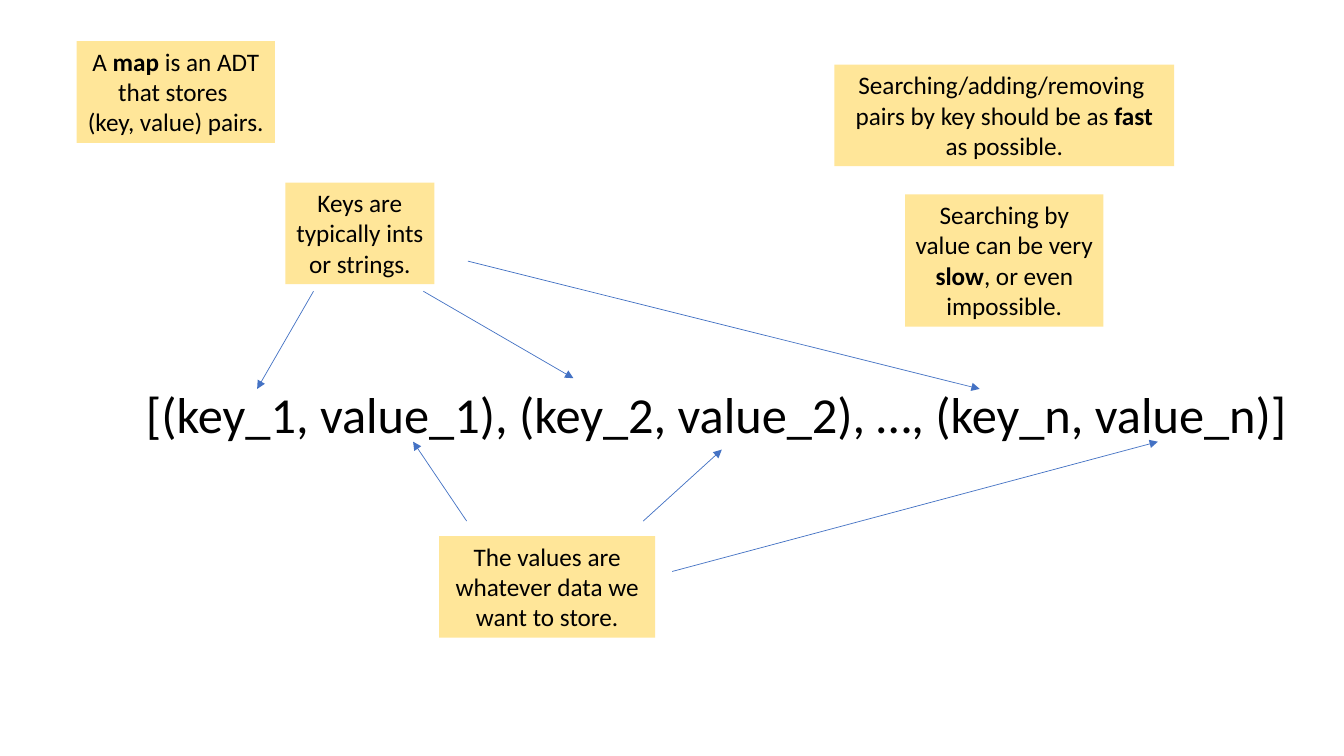
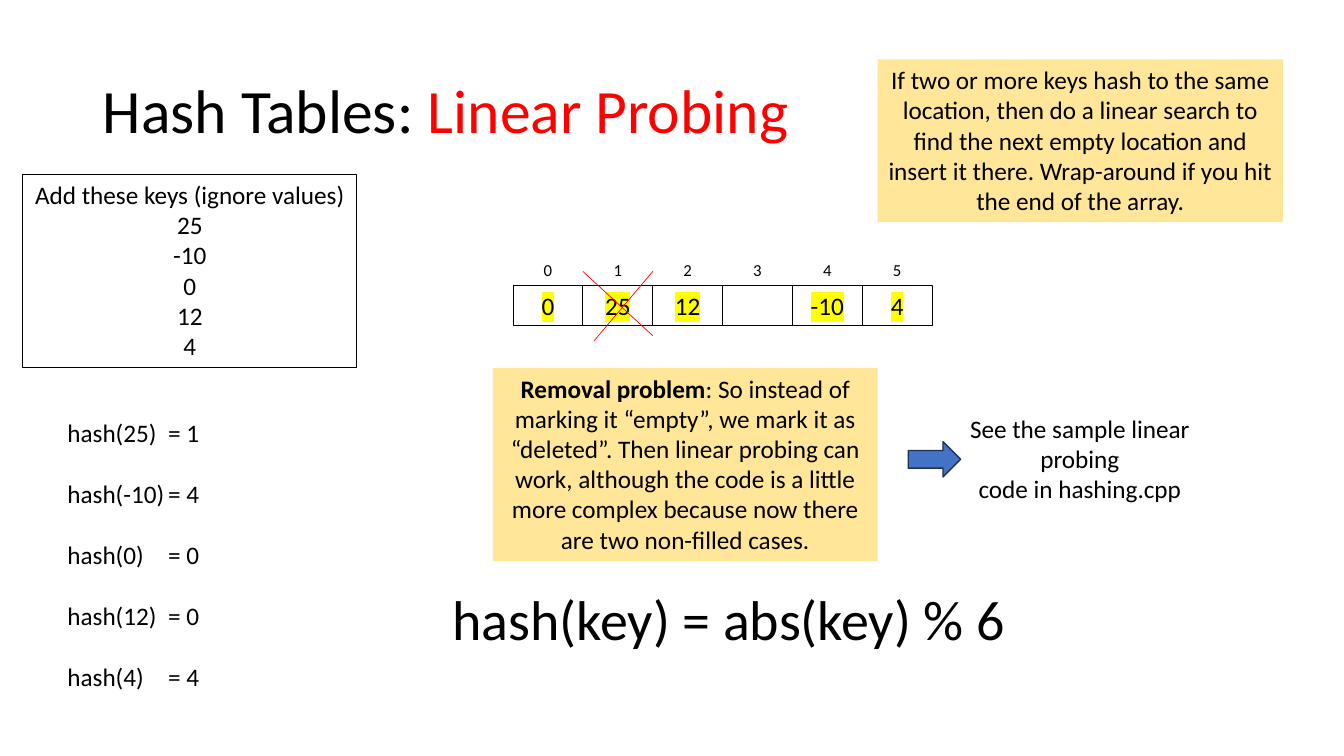
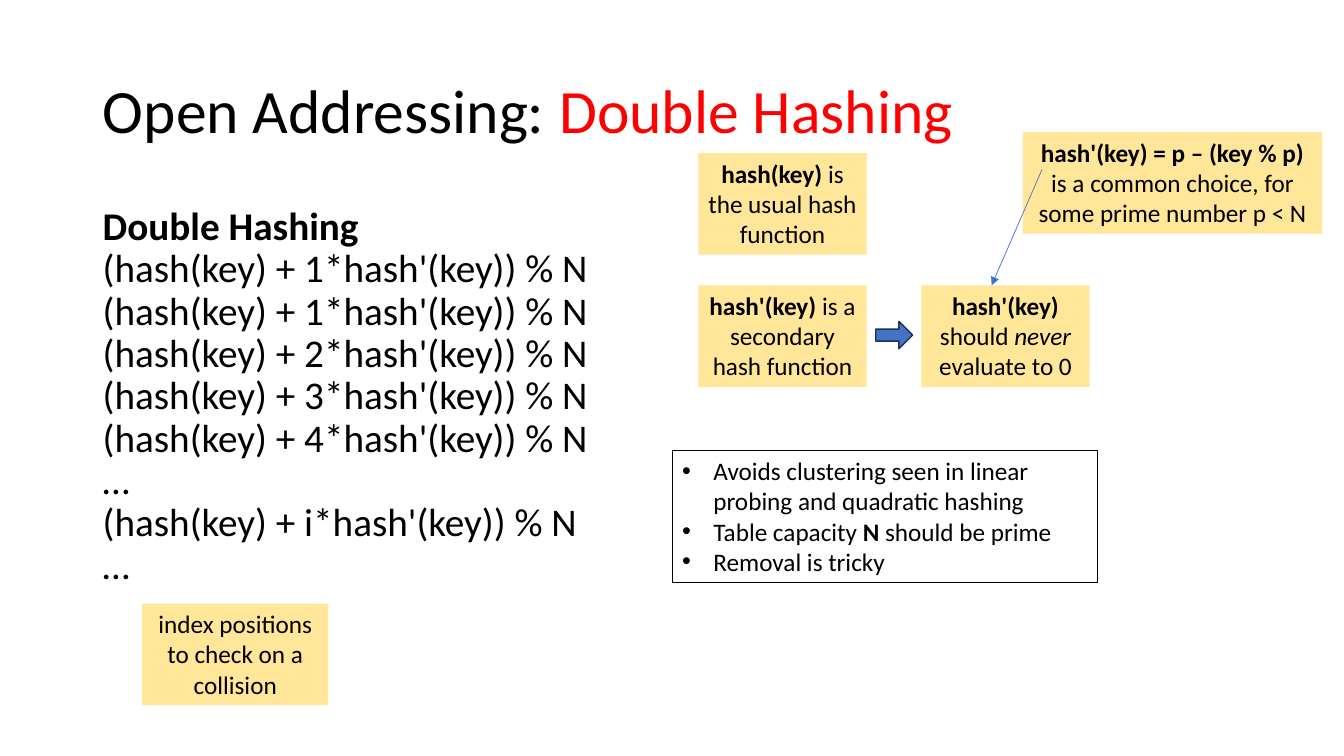
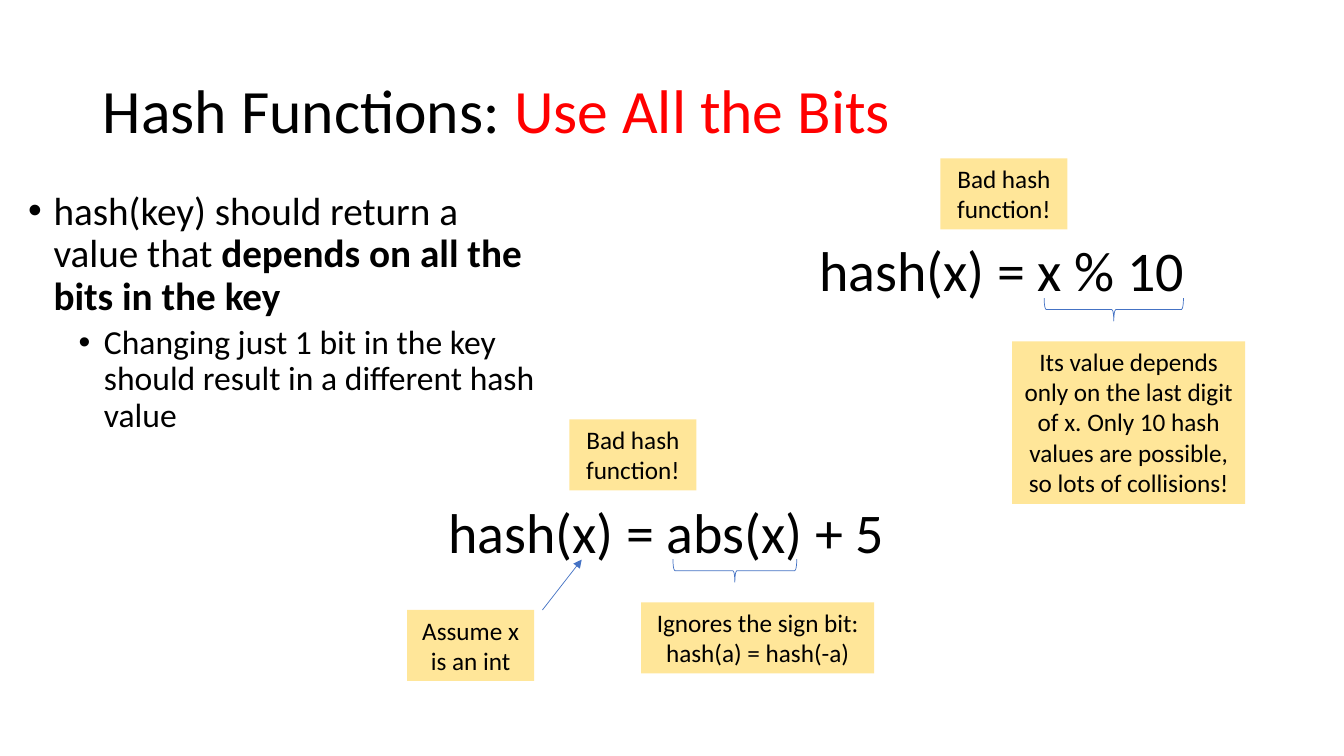
from dataclasses import dataclass

from lxml.etree import SubElement
from pptx import Presentation
from pptx.dml.color import RGBColor
from pptx.enum.shapes import MSO_CONNECTOR as Connector, MSO_SHAPE as Preset
from pptx.enum.text import MSO_ANCHOR as Anchor, PP_ALIGN as Align
from pptx.oxml.ns import qn
from pptx.util import Cm, Pt

# Shared colours and styles
BLACK, RED, YELLOW = "000000", "FF0000", "FFFF00"
NOTE_FILL, BLUE, NAVY = "FFE699", "4472C4", "1E3256"
FONT = "Calibri"
BOLD, ITALIC = {"bold": True}, {"italic": True}
TITLE_ONLY, BLANK = 5, 6
CENTRED = {"alignment": Align.CENTER}
LEFT = {"alignment": Align.LEFT}
BODY = {"alignment": Align.LEFT, "line_spacing": 0.9, "space_before": Pt(10)}


@dataclass
class Box:
    """A place on the slide, in centimetres."""
    left: float
    top: float
    width: float
    height: float

    def inner(self, dx, dy, width, height):
        return Box(self.left + dx, self.top + dy, width, height)

    def point(self, dx, dy):
        return self.left + dx, self.top + dy

    def lengths(self):
        return [Cm(v) for v in (self.left, self.top, self.width, self.height)]


PAGE = Box(0, 0, 33.87, 19.05)


def color(hex_value):
    return RGBColor.from_string(hex_value)


def apply(target, values):
    for name, value in values.items():
        setattr(target, name, value)


# Text: a paragraph is a list of runs, a run is a string or (string, format)
def add_run(paragraph, text, size, ink=BLACK, highlight=None, **values):
    for number, line in enumerate(text.split("\n")):
        if number:
            paragraph.add_line_break()
        if not line:
            continue
        run = paragraph.add_run()
        run.text = line
        apply(run.font, {"name": FONT, "size": Pt(size), **values})
        run.font.color.rgb = color(ink)
        if highlight:
            mark = run.font._element.makeelement(qn("a:highlight"), {})
            SubElement(mark, qn("a:srgbClr"), val=highlight)
            run.font._element.find(qn("a:solidFill")).addnext(mark)


def write(frame, paragraphs, size=18, layout=CENTRED, wrap=True,
          anchor=Anchor.TOP, **values):
    apply(frame, {"word_wrap": wrap, "vertical_anchor": anchor})
    for number, runs in enumerate(paragraphs):
        paragraph = frame.add_paragraph() if number else frame.paragraphs[0]
        apply(paragraph, layout)
        for run in runs:
            text, extra = (run, {}) if isinstance(run, str) else run
            add_run(paragraph, text, **{"size": size, **values, **extra})
    return frame.paragraphs


def add_bullet(paragraph, margin, hanging):
    properties = paragraph._p.get_or_add_pPr()
    properties.set("marL", str(Cm(margin)))
    properties.set("indent", str(-Cm(hanging)))
    SubElement(properties, qn("a:buFont"), typeface="Arial")
    SubElement(properties, qn("a:buChar"), char="•")


def add_tab_stop(paragraph, position):
    stops = SubElement(paragraph._p.get_or_add_pPr(), qn("a:tabLst"))
    SubElement(stops, qn("a:tab"), pos=str(Cm(position)), algn="l")


# Shared parts
def add_title(slide, topic, subject, width=29.21):
    title = slide.shapes.title
    place = Box(2.34, 1.02, width, 3.68)
    apply(title, dict(zip(("left", "top", "width", "height"), place.lengths())))
    write(title.text_frame, [[topic + ": ", (subject, {"ink": RED})]], 44,
          {**LEFT, "line_spacing": 0.9}, anchor=Anchor.MIDDLE)


def add_text(slide, box, paragraphs, size=18, layout=LEFT, **options):
    frame = slide.shapes.add_textbox(*box.lengths()).text_frame
    return write(frame, paragraphs, size, layout, **options)


def add_figure(slide, preset, box, fill=None, line=None, weight=0.75):
    figure = slide.shapes.add_shape(preset, *box.lengths())
    figure.shadow.inherit = False
    for paint, value in ((figure.fill, fill), (figure.line.fill, line)):
        if value:
            paint.solid()
            paint.fore_color.rgb = color(value)
        else:
            paint.background()
    if line:
        figure.line.width = Pt(weight)
    return figure


def add_note(slide, box, left, top, width, lines, *runs):
    place = box.inner(left, top, width, 0.25 + 0.77 * lines)
    note = add_figure(slide, Preset.RECTANGLE, place, NOTE_FILL)
    write(note.text_frame, [runs])


def add_framed(slide, box, paragraphs, **options):
    frame = add_figure(slide, Preset.RECTANGLE, box, line=BLACK)
    return write(frame.text_frame, paragraphs, **options)


def add_block_arrow(slide, box):
    return add_figure(slide, Preset.RIGHT_ARROW, box, BLUE, NAVY, 1)


def add_line(slide, start, end, ink=BLUE, arrow=True):
    ends = [Cm(v) for v in (*start, *end)]
    line = slide.shapes.add_connector(Connector.STRAIGHT, *ends)
    line.line.width = Pt(0.5)
    line.line.color.rgb = color(ink)
    if arrow:
        SubElement(line.line._get_or_add_ln(), qn("a:tailEnd"), type="triangle")
    SubElement(line._element.spPr, qn("a:effectLst"))


# Slide 1: what a map is
def map_slide(slide, box):
    add_note(slide, box, 1.93, 1.04, 5, 3, "A ", ("map", BOLD),
             " is an ADT that stores \n(key, value) pairs.")
    add_text(slide, box.inner(3.43, 9.53, 29.51, 1.8),
             [["[(key_1, value_1), (key_2, value_2), …, (key_n, value_n)]"]],
             36, wrap=False)
    add_note(slide, box, 7.19, 4.6, 3.76, 3, "Keys are typically ints or strings.")
    add_note(slide, box, 11.07, 13.51, 5.44, 3,
             "The values are whatever data we want to store.")
    add_note(slide, box, 21.03, 1.63, 8.56, 3,
             "Searching/adding/removing \npairs by key should be as ",
             ("fast", BOLD), " as possible.")
    add_note(slide, box, 22.81, 4.9, 5, 4, "Searching by value can be very ",
             ("slow", BOLD), ", or even impossible.")
    key_arrows = [((7.9, 7.34), (6.48, 9.8)), ((10.67, 7.34), (14.45, 9.53)),
                  ((11.79, 6.58), (24.69, 9.8))]
    value_arrows = [((11.76, 13.13), (10.41, 11.13)),
                    ((16.21, 13.13), (18.19, 11.33)),
                    ((16.94, 14.4), (29.18, 11.13))]
    for start, end in key_arrows + value_arrows:
        add_line(slide, box.point(*start), box.point(*end))


# Slide 2: linear probing
def probing_array(slide, box, entries, deleted):
    step, label_height = box.width / len(entries), 0.76
    for index, entry in enumerate(entries):
        add_framed(slide, box.inner(index * step, label_height, step,
                                    box.height - label_height),
                   [[entry]], highlight=YELLOW)
        add_text(slide, box.inner(index * step, 0, step, label_height),
                 [[str(index)]], 12, CENTRED)
    # Cross over the deleted entry
    left, right = deleted * step, (deleted + 1) * step
    for start, end in (((left, 0.41), (right, 2.03)),
                       ((right, 0.41), (left + 0.28, 2.16))):
        add_line(slide, box.point(*start), box.point(*end), RED, arrow=False)


def hash_results(slide, box, results):
    lines = [[f"hash({key})\t= {value}"] for key, value in results]
    for paragraph in add_text(slide, box, lines):
        add_tab_stop(paragraph, 2.54)
    for paragraph in slide.shapes[-1].text_frame.paragraphs[1:]:
        paragraph.space_before = Pt(22)


def probing_slide(slide, box):
    add_title(slide, "Hash Tables", "Linear Probing", 18.19)
    add_text(slide, box.inner(11.15, 14.61, 14.58, 1.96),
             [["hash(key) = abs(key) % 6"]], 40, wrap=False)
    keys = ["Add these keys (ignore values)", "25", "-10", "0", "12", "4"]
    add_framed(slide, box.inner(0.58, 4.39, 8.41, 4.87),
               [[key] for key in keys], wrap=False)
    add_note(slide, box, 22.12, 1.5, 10.21, 5,
             "If two or more keys hash to the same location, then do a linear "
             "search to find the next empty location and insert it there. "
             "Wrap-around if you hit the end of the array.")
    hash_results(slide, box.inner(1.45, 10.39, 4.57, 7.19),
                 [(25, 1), (-10, 4), (0, 0), (12, 0), (4, 4)])
    probing_array(slide, box.inner(12.93, 6.43, 10.56, 1.78),
                  ["0", "25", "12", "", "-10", "4"], deleted=1)
    add_note(slide, box, 12.42, 9.27, 9.7, 6, ("Removal problem", BOLD),
             ": So instead of marking it “empty”, we mark it as “deleted”. Then "
             "linear probing can work, although the code is a little more "
             "complex because now there are two non-filled cases.")
    add_text(slide, box.inner(24.18, 10.29, 6.07, 2.56),
             [["See the sample linear probing\ncode in hashing.cpp"]],
             layout=CENTRED)
    add_block_arrow(slide, box.inner(22.89, 11.13, 1.32, 0.89))


# Slide 3: double hashing
def double_hashing_slide(slide, box):
    add_title(slide, "Open Addressing", "Double Hashing")
    probes = [f"(hash(key) + {factor}*hash'(key)) % N" for factor in "11234i"]
    positions = "\n".join([*probes[:-1], "…", probes[-1], "…"])
    add_text(slide, box.inner(2.34, 5.08, 13.23, 12.09),
             [[("Double Hashing\n", BOLD), positions]], 28, BODY)
    traits = [["Avoids clustering seen in linear probing and quadratic hashing"],
              ["Table capacity ", ("N", BOLD), " should be prime"],
              ["Removal is tricky"]]
    for trait in add_framed(slide, box.inner(16.94, 11.35, 10.72, 3.33),
                            traits, layout=LEFT):
        add_bullet(trait, 0.79, 0.79)
    # Notes on the two functions
    add_note(slide, box, 17.6, 3.86, 4.24, 3, ("hash(key)", BOLD),
             " is the usual hash function")
    add_note(slide, box, 17.6, 7.19, 4.24, 3, ("hash'(key)", BOLD),
             " is a secondary hash function")
    add_note(slide, box, 23.22, 7.19, 4.24, 3, ("hash'(key)", BOLD),
             " should ", ("never", ITALIC), " evaluate to 0")
    arrow = add_block_arrow(slide, box.inner(22.07, 8.1, 0.93, 0.69))
    arrow.adjustments[0] = 0.44
    add_note(slide, box, 25.78, 3.33, 7.54, 3,
             ("hash'(key) = p – (key % p)", BOLD),
             " is a common choice, for some prime number p < N")
    add_line(slide, box.point(26.26, 4.27), box.point(24.99, 7.19))
    add_note(slide, box, 3.58, 15.21, 4.7, 3,
             "index positions to check on a collision")


# Slide 4: use all the bits
def bad_hash(slide, box, formula, brace_centre, brace_length, reason, lines):
    add_text(slide, box, [[formula]], 40, wrap=False)
    add_note(slide, box, 3.3, -1.83, 3.2, 2, "Bad hash function!")
    thickness = 0.58
    brace = add_figure(slide, Preset.LEFT_BRACE,
                       box.inner(brace_centre - thickness / 2,
                                 1.98 - brace_length / 2,
                                 thickness, brace_length),
                       line=BLUE, weight=0.5)
    brace.rotation = 270
    add_note(slide, box, 5.11, 2.78, 5.87, lines, reason)


def all_bits_slide(slide, box):
    add_title(slide, "Hash Functions", "Use All the Bits")
    advice = [["hash(key) should return a value that ",
               ("depends on all the bits in the key", BOLD)],
              [("Changing just 1 bit in the key should result in a different "
                "hash value", {"size": 24})]]
    rule, detail = add_text(slide, box.inner(0.46, 4.7, 13.54, 12.95),
                            advice, 28, BODY)
    apply(detail, {"level": 1, "space_before": Pt(5)})
    add_bullet(rule, 0.64, 0.64)
    add_bullet(detail, 1.91, 0.64)
    bad_hash(slide, box.inner(20.4, 5.82, 9.8, 1.96), "hash(x) = x % 10",
             7.67, 3.51, "Its value depends only on the last digit of x. Only "
             "10 hash values are possible, so lots of collisions!", 5)
    bad_hash(slide, box.inner(11.05, 12.4, 11.61, 1.96), "hash(x) = abs(x) + 5",
             7.47, 3.12, "Ignores the sign bit: hash(a) = hash(-a)", 2)
    add_note(slide, box, 10.26, 15.37, 3.2, 2, "Assume x is an int")
    add_line(slide, box.point(13.67, 15.37), box.point(14.66, 14.1))


deck = Presentation()
apply(deck, {"slide_width": Cm(PAGE.width), "slide_height": Cm(PAGE.height)})
for layout, build in ((BLANK, map_slide), (TITLE_ONLY, probing_slide),
                      (TITLE_ONLY, double_hashing_slide),
                      (TITLE_ONLY, all_bits_slide)):
    build(deck.slides.add_slide(deck.slide_layouts[layout]), PAGE)
deck.save("out.pptx")
